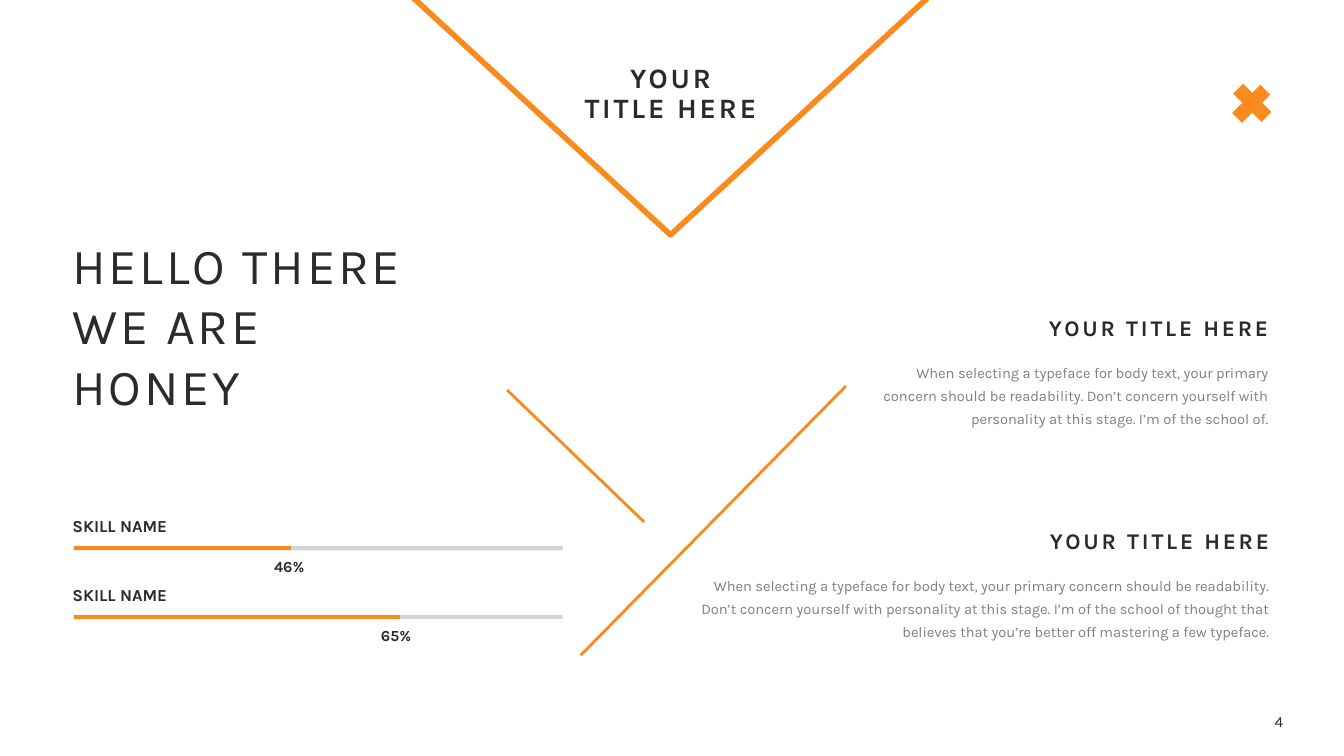
from lxml import etree
from pptx import Presentation
from pptx.dml.color import RGBColor
from pptx.enum.shapes import MSO_CONNECTOR, MSO_SHAPE
from pptx.enum.text import MSO_ANCHOR, PP_ALIGN
from pptx.oxml.ns import qn
from pptx.util import Inches, Pt

LEFT, CENTER, RIGHT = PP_ALIGN.LEFT, PP_ALIGN.CENTER, PP_ALIGN.RIGHT
TOP, MIDDLE = MSO_ANCHOR.TOP, MSO_ANCHOR.MIDDLE
STRAIGHT = MSO_CONNECTOR.STRAIGHT
DIAMOND = MSO_SHAPE.DIAMOND
ORANGE, DARK = "FA891E", "2B2B2B"
FONT = "Karla"

prs = Presentation()
prs.slide_width, prs.slide_height = Inches(13.33), Inches(7.5)
s = prs.slides.add_slide(prs.slide_layouts[6])


def add_text(lines, x, y, w, h, size, align=LEFT, bold=False, spacing=0.9,
             tracking=0, opacity=100, anchor=TOP):
    tf = s.shapes.add_textbox(Inches(x), Inches(y), Inches(w), Inches(h)).text_frame
    tf.word_wrap = True
    tf.vertical_anchor = anchor
    for i, line in enumerate(lines):
        p = tf.paragraphs[0] if i == 0 else tf.add_paragraph()
        p.alignment, p.line_spacing = align, spacing
        r = p.add_run()
        r.text = line
        r.font.name, r.font.size, r.font.bold = FONT, Pt(size), bold
        r.font.color.rgb = RGBColor.from_string(DARK)
        rPr = r.font._element
        if tracking:
            rPr.set("spc", str(tracking * 100))
        if opacity < 100:
            color = rPr.find(".//" + qn("a:srgbClr"))
            etree.SubElement(color, qn("a:alpha")).set("val", str(opacity * 1000))


def add_line(x1, y1, x2, y2, width, color=ORANGE, opacity=100):
    sp = s.shapes.add_connector(STRAIGHT, Inches(x1), Inches(y1), Inches(x2), Inches(y2))
    sp.line.width = Pt(width)
    sp.line.color.rgb = RGBColor.from_string(color)
    spPr = sp._element.spPr
    if opacity < 100:
        fill = spPr.find(".//" + qn("a:srgbClr"))
        etree.SubElement(fill, qn("a:alpha")).set("val", str(opacity * 1000))
    etree.SubElement(spPr, qn("a:effectLst"))


# Page number
add_text(["4"], 12.45, 7.05, 0.47, 0.21, 11, CENTER, spacing=1, anchor=MIDDLE)

# Diamond behind the top title
sp = s.shapes.add_shape(DIAMOND, Inches(4.09), Inches(-2.39), Inches(5.12), Inches(4.72))
sp.shadow.inherit = False
sp.fill.background()
sp.line.color.rgb = RGBColor.from_string(ORANGE)
sp.line.width = Pt(4)
add_text(["YOUR", "TITLE HERE"], 5.59, 0.59, 2.12, 0.72, 20, CENTER, bold=True, tracking=2)

# Headline
add_text(["HELLO THERE WE ARE HONEY"], 0.62, 2.27, 3.69, 1.92, 36, spacing=1, tracking=2)

# Titled paragraphs on the right
blocks = [
    (8.61, 3.1, 4.07,
     "When selecting a typeface for body text, your primary concern should be readability. "
     "Don’t concern yourself with personality at this stage. I’m of the school of."),
    (6.66, 5.21, 6.03,
     "When selecting a typeface for body text, your primary concern should be readability. "
     "Don’t concern yourself with personality at this stage. I’m of the school of thought "
     "that believes that you’re better off mastering a few typeface."),
]
for x, y, w, body in blocks:
    add_text(["YOUR TITLE HERE"], x, y, w, 0.41, 16, RIGHT, bold=True, tracking=2)
    add_text([body], x, y + 0.41, w, 0.79, 10.5, RIGHT, spacing=1.3, opacity=60)

# Skill bars: bar height on the slide, end of the filled part, label
for y, fill_end, label_x, percent in [(5.44, 2.89, 2.62, "46%"), (6.12, 3.97, 3.68, "65%")]:
    add_line(0.73, y, 5.58, y, 3, DARK, opacity=20)
    add_line(0.73, y, fill_end, y, 3)
    add_text(["SKILL NAME"], 0.62, y - 0.35, 3.35, 0.3, 12, bold=True)
    add_text([percent], label_x, y + 0.06, 0.63, 0.3, 11, bold=True)

# Cross at the top right
add_line(12.55, 0.89, 12.27, 1.17, 10)
add_line(12.56, 1.16, 12.28, 0.88, 10)

# Diagonal lines
add_line(5.03, 3.87, 6.39, 5.18, 2)
add_line(8.39, 3.83, 5.76, 6.5, 2)

prs.save("out.pptx")
